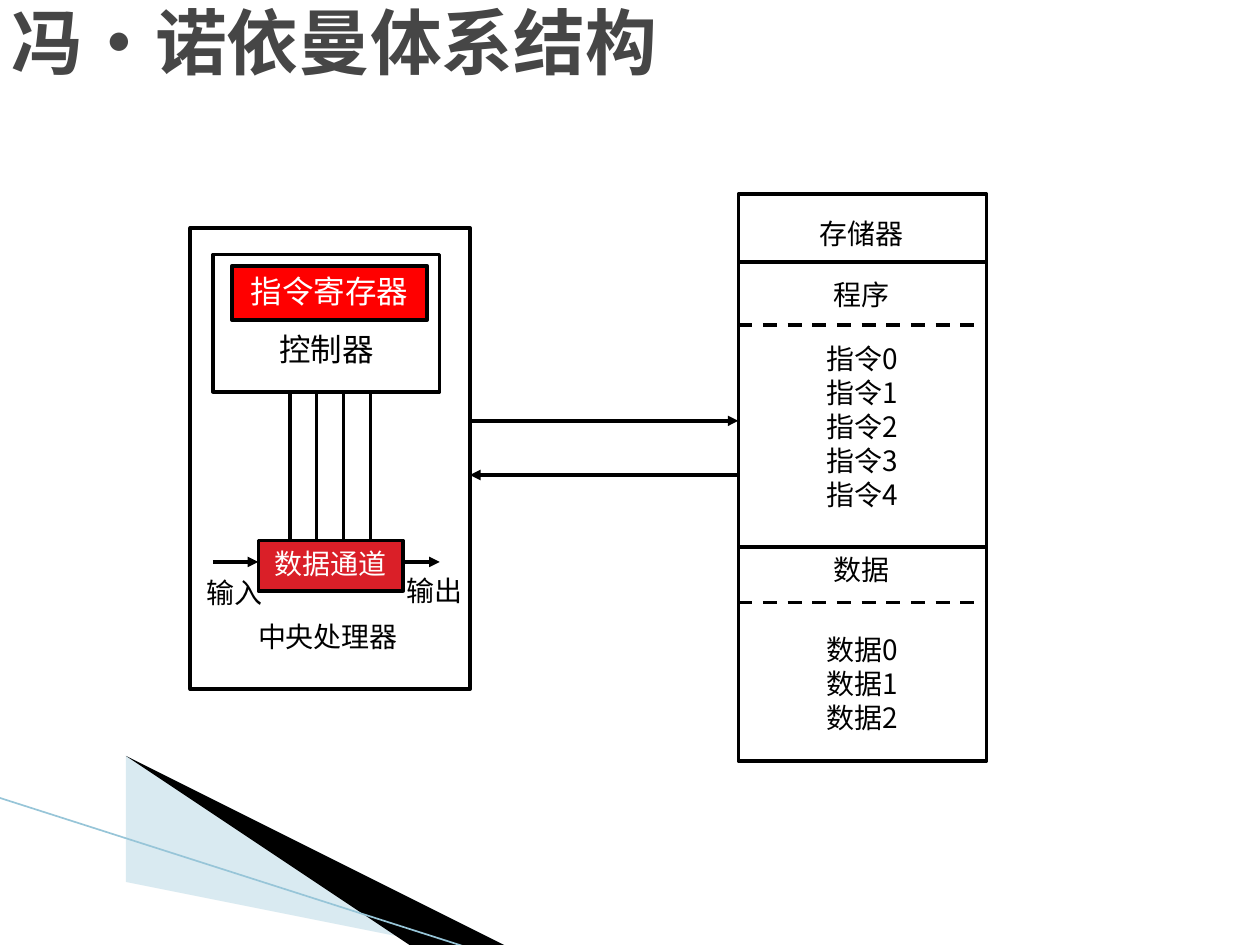
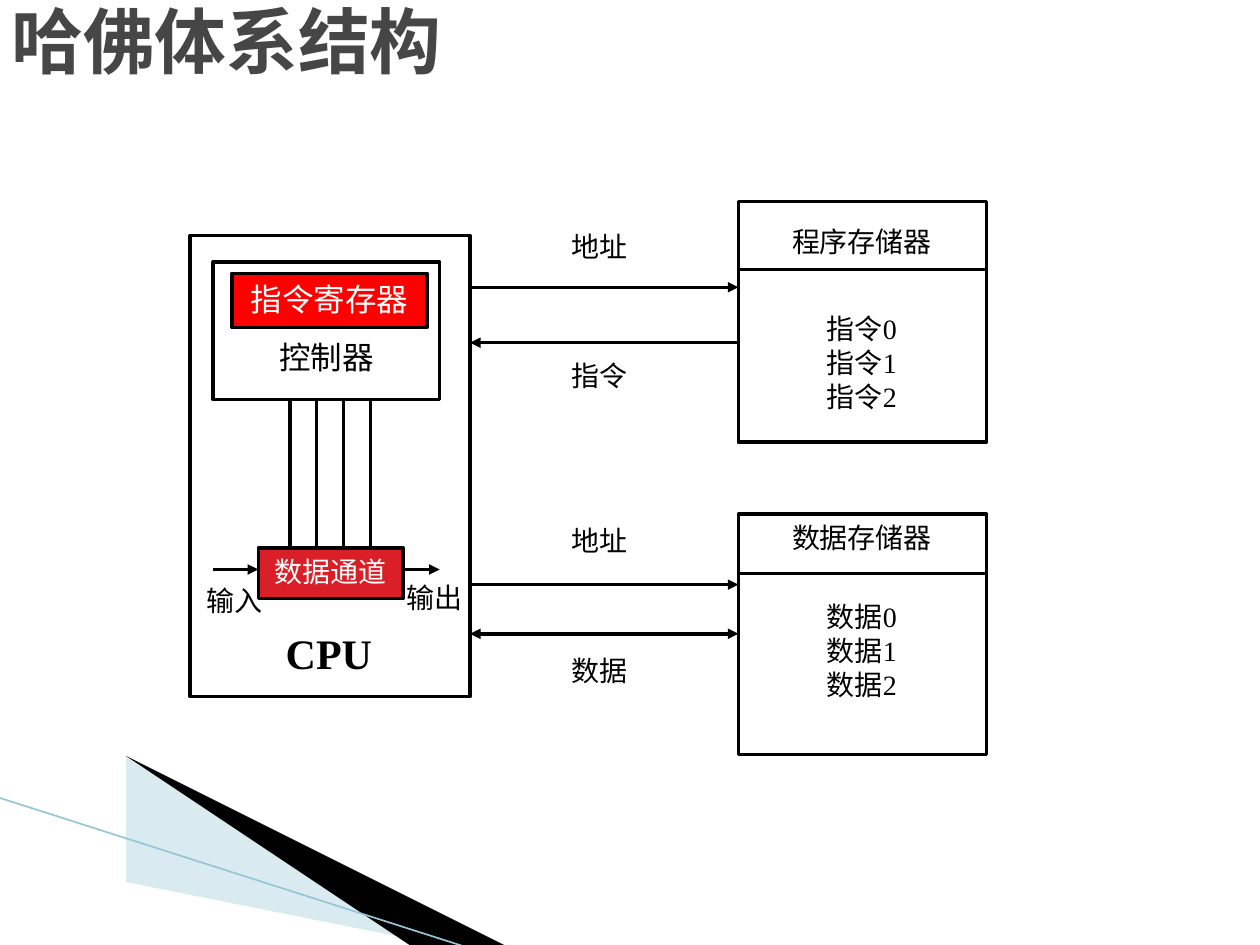
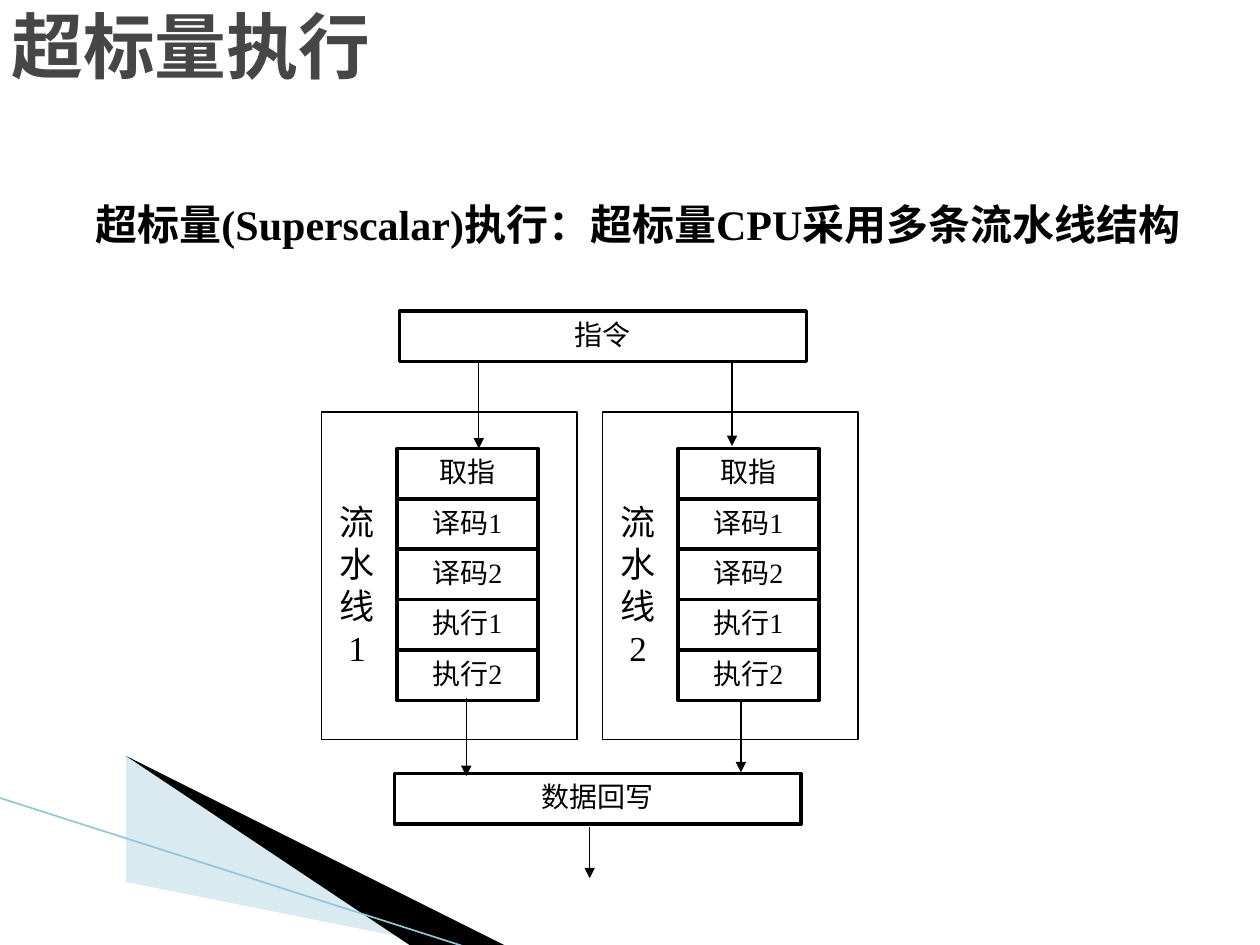
from pptx import Presentation
from pptx.dml.color import RGBColor
from pptx.enum.dml import MSO_LINE
from pptx.enum.shapes import MSO_CONNECTOR, MSO_SHAPE
from pptx.enum.text import MSO_ANCHOR, MSO_AUTO_SIZE, PP_ALIGN
from pptx.oxml.ns import qn
from pptx.util import Inches, Pt
from lxml import etree

RECT, STRAIGHT, DASH = MSO_SHAPE.RECTANGLE, MSO_CONNECTOR.STRAIGHT, MSO_LINE.DASH
LEFT, CENTER, TOP = PP_ALIGN.LEFT, PP_ALIGN.CENTER, MSO_ANCHOR.TOP
GROW, FIXED = MSO_AUTO_SIZE.SHAPE_TO_FIT_TEXT, MSO_AUTO_SIZE.NONE
SANS, SERIF = "Noto Sans CJK SC", "Times New Roman"
BLACK, WHITE, GREY = "000000", "FFFFFF", "464646"
RED, CRIMSON, SKY, TEAL = "FF0000", "DA1F28", "A0CBDC", "97C5D8"

# Shared corner band: points, fill, opacity in percent
BAND = [
    ([(0.55, 6.51), (5.95, 7.51), (4.56, 7.51), (0.55, 6.5)], SKY, 40),
    ([(0.53, 6.49), (4.57, 7.51), (3.72, 7.52), (0.54, 6.5)], BLACK, 100),
]
EDGE = (-0.01, 6.33, 3.71, 7.52)

# Memory columns: top, height, labels (top, text), rules (y, dashed), item lists (top, texts)
NEUMANN = [dict(
    top=1.54, high=4.5,
    heads=[(1.67, "存储器"), (2.15, "程序"), (4.34, "数据")],
    rules=[(2.08, False), (2.58, True), (4.34, False), (4.78, True)],
    lists=[(2.66, ["指令0", "指令1", "指令2", "指令3", "指令4"]),
           (4.97, ["数据0", "数据1", "数据2"])],
)]
HARVARD = [
    dict(top=1.6, high=1.91, heads=[(1.73, "程序存储器")], rules=[(2.14, False)],
         lists=[(2.42, ["指令0", "指令1", "指令2"])]),
    dict(top=4.08, high=1.91, heads=[(4.08, "数据存储器")], rules=[(4.55, False)],
         lists=[(4.71, ["数据0", "数据1", "数据2"])]),
]
# Buses: y, direction
NEUMANN_BUS = [(3.34, "out"), (3.77, "in")]
HARVARD_BUS = [(2.28, "out"), (2.72, "in"), (4.64, "out"), (5.03, "both")]
BUS_NAMES = [(1.77, "地址"), (2.8, "指令"), (4.11, "地址"), (5.14, "数据")]

# Pipelines
STAGES = ["取指", "译码1", "译码2", "执行1", "执行2"]
LANES = ["流水线1", "流水线2"]
ENDS = [((3.17, 2.47, 3.23, 0.4), "指令"), ((3.13, 6.14, 3.23, 0.4), "数据回写")]
FLOWS = [(4.68, 6.56, 6.97), (3.8, 2.86, 3.56), (5.81, 2.88, 3.54),
         (3.7, 5.54, 6.16), (5.88, 5.56, 6.13)]

CPU_X, CPU_W, MEM_X, MEM_W = 1.51, 2.22, 5.86, 1.97
CPU_END, MEM_END = CPU_X + CPU_W, MEM_X + MEM_W
ITEM_GAP, STAGE_H, LANE_GAP = 0.27, 0.4, 2.23


def rgb(code):
    return RGBColor.from_string(code)


def apply(target, values):
    for name, value in values.items():
        setattr(target, name, value)


def write(shape, text, size=16, font=SERIF, color=BLACK, bold=False, align=CENTER, grow=True):
    frame = shape.text_frame
    apply(frame, dict(word_wrap=True, vertical_anchor=TOP, auto_size=GROW if grow else FIXED))
    para = frame.paragraphs[0]
    para.alignment = align
    run = para.add_run()
    run.text = text
    apply(run.font, dict(size=Pt(size), name=font, bold=bold))
    run.font.color.rgb = rgb(color)
    etree.SubElement(run.font._element, qn("a:ea")).set("typeface", SANS)
    return para


def label(slide, at, text, **style):
    box = slide.shapes.add_textbox(*map(Inches, at))
    return box, write(box, text, **style)


def rect(slide, at, text=None, fill=None, width=2, **style):
    shape = slide.shapes.add_shape(RECT, *map(Inches, at))
    shape.shadow.inherit = False
    if fill:
        shape.fill.solid()
        shape.fill.fore_color.rgb = rgb(fill)
    else:
        shape.fill.background()
    shape.line.color.rgb = rgb(BLACK)
    shape.line.width = Pt(width)
    if text:
        write(shape, text, **style)


def line(slide, ends, width=2, color=BLACK, dashed=False, heads=()):
    link = slide.shapes.add_connector(STRAIGHT, *map(Inches, ends))
    link.line.color.rgb = rgb(color)
    link.line.width = Pt(width)
    if dashed:
        link.line.dash_style = DASH
    for head in heads:
        etree.SubElement(link.line._get_or_add_ln(), qn("a:" + head)).set("type", "triangle")
    etree.SubElement(link._element.spPr, qn("a:effectLst"))


def arrow(slide, *ends, **style):
    line(slide, ends, heads=["tailEnd"], **style)


def start(deck, title, top, wide, high):
    slide = deck.slides.add_slide(deck.slide_layouts[6])
    for points, color, alpha in BAND:
        path = slide.shapes.build_freeform(*points[0], scale=Inches(1))
        path.add_line_segments(points[1:], close=True)
        shape = path.convert_to_shape()
        shape.shadow.inherit = False
        shape.fill.solid()
        shape.fill.fore_color.rgb = rgb(color)
        shape.line.fill.background()
        if alpha < 100:
            tint = shape._element.spPr.find(".//" + qn("a:srgbClr"))
            etree.SubElement(tint, qn("a:alpha")).set("val", str(alpha * 1000))
    line(slide, EDGE, 0.95, TEAL)
    box, para = label(slide, (0, top, wide, high), title, size=41, font=SANS,
                      color=GREY, bold=True, align=LEFT, grow=False)
    apply(box.text_frame, dict(margin_left=Inches(0.09), margin_right=Inches(0.09)))
    para.line_spacing = 0.9
    props = para._p.get_or_add_pPr()
    props.set("marL", str(Inches(0.28)))
    props.set("indent", str(Inches(-0.28)))
    return slide


def draw_cpu(slide, top, font):
    rect(slide, (CPU_X, top, CPU_W, 3.66))
    rect(slide, (1.84, top + 0.3, 1.55, 0.43), "指令寄存器", RED, size=18, font=font, color=WHITE)
    label(slide, (1.69, top + 0.76, 1.8, 0.4), "控制器", size=18, font=font)
    rect(slide, (1.69, top + 0.21, 1.8, 1.09))
    rect(slide, (2.05, top + 2.48, 1.15, 0.4), "数据通道", CRIMSON, font=font, color=WHITE)
    label(slide, (1.54, top + 2.71, 0.76, 0.37), "输入", font=font, align=LEFT)
    label(slide, (3.13, top + 2.69, 0.76, 0.37), "输出", font=font, align=LEFT)
    for x1, x2 in [(1.69, 2.05), (3.2, 3.49)]:
        arrow(slide, x1, top + 2.65, x2, top + 2.65)
    for i in range(4):
        x = 2.3 + i * 0.64 / 3
        line(slide, (x, top + 1.3, x, top + 2.48))


def draw_store(slide, store, font):
    rect(slide, (MEM_X, store["top"], MEM_W, store["high"]))
    items = [(top + i * ITEM_GAP, text)
             for top, texts in store["lists"] for i, text in enumerate(texts)]
    for top, text in store["heads"] + items:
        label(slide, (6.18, top, 1.32, 0.37), text, font=font)
    for y, dashed in store["rules"]:
        line(slide, (MEM_X, y, MEM_END, y), dashed=dashed)


def draw_bus(slide, buses):
    for y, way in buses:
        x1, x2 = (CPU_END, MEM_X) if way == "out" else (MEM_X, CPU_END)
        heads = ["headEnd", "tailEnd"] if way == "both" else ["tailEnd"]
        line(slide, (x1, y, x2, y), heads=heads)


deck = Presentation()
apply(deck, dict(slide_width=Inches(10), slide_height=Inches(7.5)))

# Slide 1: one shared memory
slide = start(deck, "冯·诺依曼体系结构", 0.01, 8.32, 0.84)
draw_cpu(slide, 1.81, SANS)
label(slide, (1.95, 4.87, 1.32, 0.37), "中央处理器", font=SANS, align=LEFT)
for store in NEUMANN:
    draw_store(slide, store, SANS)
draw_bus(slide, NEUMANN_BUS)

# Slide 2: separate memories
slide = start(deck, "哈佛体系结构", 0, 8.06, 0.86)
draw_cpu(slide, 1.87, SERIF)
label(slide, (1.95, 4.93, 1.32, 0.5), "CPU", size=24, bold=True)
for store in HARVARD:
    draw_store(slide, store, SERIF)
draw_bus(slide, HARVARD_BUS)
for top, text in BUS_NAMES:
    label(slide, (4.44, top, 0.76, 0.37), text, align=LEFT)

# Slide 3: two pipelines
slide = start(deck, "超标量执行", 0.04, 8.11, 0.84)
label(slide, (0.66, 1.53, 9.03, 0.5), "超标量(Superscalar)执行：超标量CPU采用多条流水线结构",
      size=24, bold=True, align=LEFT)
for i, lane in enumerate(LANES):
    x = 2.55 + i * LANE_GAP
    for j, stage in enumerate(STAGES):
        rect(slide, (x + 0.6, 3.56 + j * STAGE_H, 1.12, STAGE_H), stage)
    rect(slide, (x, 3.27, 2.03, 2.6), width=0.75)
    label(slide, (x + 0.04, 3.92, 0.49, 1.43), lane, size=20)
for at, text in ENDS:
    rect(slide, at, text)
for x, y1, y2 in FLOWS:
    arrow(slide, x, y1, x, y2, width=0.75)

deck.save("out.pptx")
